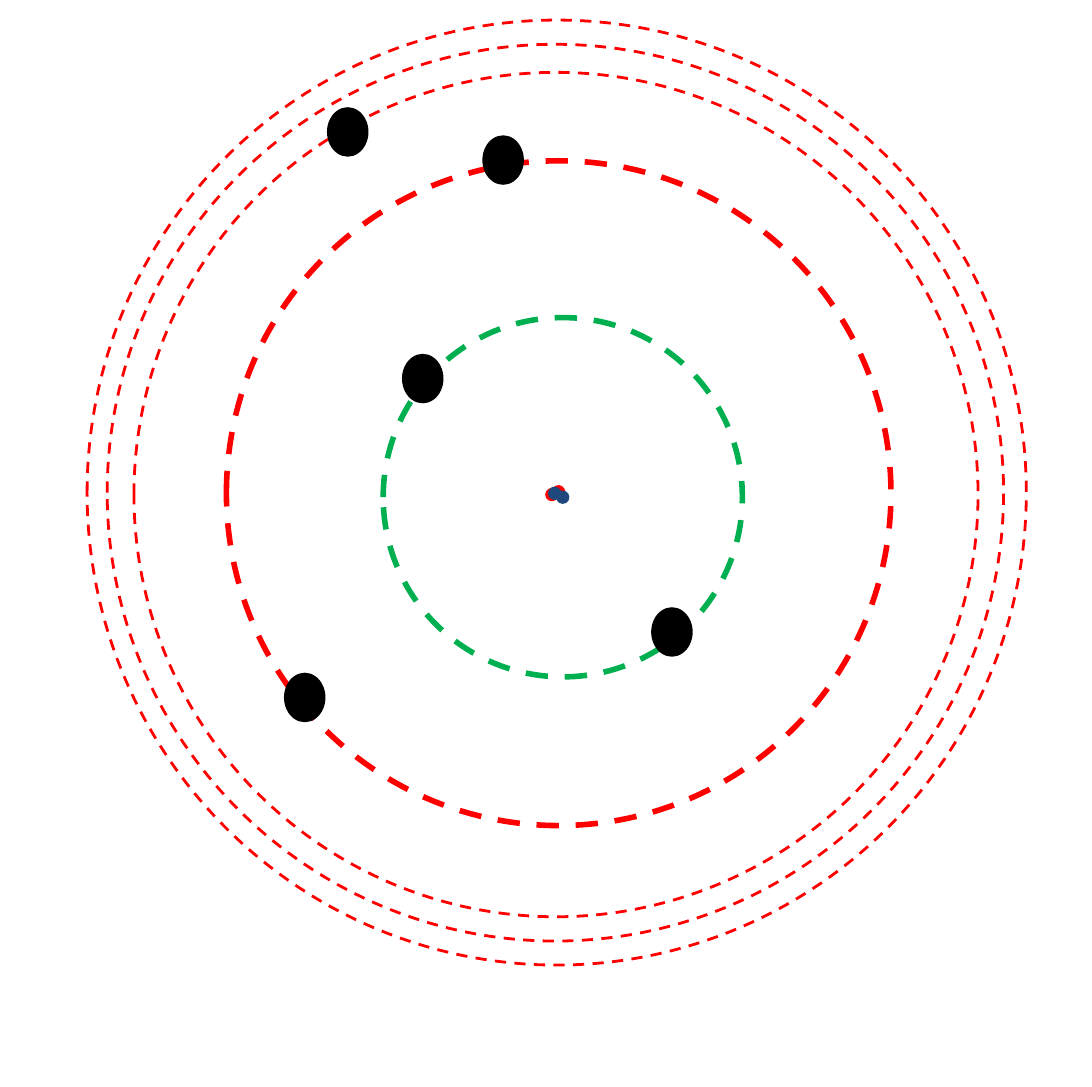
from pptx import Presentation
from pptx.dml.color import RGBColor
from pptx.enum.dml import MSO_LINE
from pptx.enum.shapes import MSO_SHAPE
from pptx.util import Pt

OVAL = MSO_SHAPE.OVAL
DASH = MSO_LINE.DASH

RED = RGBColor(0xFF, 0x00, 0x00)
NAVY = RGBColor(0x1F, 0x49, 0x7D)
GREEN = RGBColor(0x00, 0xB0, 0x50)
BLACK = RGBColor(0x00, 0x00, 0x00)

BLANK_LAYOUT = 6
NUCLEON_SIZE = 7.2
ELECTRON_WIDTH, ELECTRON_HEIGHT = 22.3, 26.6

# left, top, colour
NUCLEONS = [
    (293, 262.1, RED),
    (296.6, 260.6, RED),
    (298.8, 263.5, NAVY),
    (294.5, 261.4, NAVY),
]

# left, top, width, height, colour, line weight, electron positions
SHELLS = [
    (205.9, 170.6, 193, 193, GREEN, 3, [(216, 190.1), (349.9, 326.2)]),
    (121.7, 86.4, 357.1, 357.1, RED, 3, [(259.2, 72.7), (152.6, 361.4)]),
    (72, 38.9, 453.6, 453.6, RED, 1.5, []),
    (46.8, 10.8, 504.7, 507.6, RED, 1.5, []),
    (57.6, 23.8, 481.7, 481.7, RED, 1.5, [(175.7, 57.6)]),
]


def add_oval(slide, left, top, width, height):
    sp = slide.shapes.add_shape(OVAL, Pt(left), Pt(top), Pt(width), Pt(height))
    sp.shadow.inherit = False
    return sp


def add_particle(slide, left, top, width, height, color):
    """Add a filled oval without an outline."""
    sp = add_oval(slide, left, top, width, height)
    sp.fill.solid()
    sp.fill.fore_color.rgb = color
    sp.line.fill.background()


def add_orbit(slide, left, top, width, height, color, weight):
    """Add a dashed ring without a fill."""
    sp = add_oval(slide, left, top, width, height)
    sp.fill.background()
    sp.line.color.rgb = color
    sp.line.width = Pt(weight)
    sp.line.dash_style = DASH


def main():
    prs = Presentation()
    prs.slide_width = Pt(586.8)
    prs.slide_height = Pt(583.92)
    s = prs.slides.add_slide(prs.slide_layouts[BLANK_LAYOUT])

    for left, top, color in NUCLEONS:
        add_particle(s, left, top, NUCLEON_SIZE, NUCLEON_SIZE, color)

    for *orbit, electrons in SHELLS:
        add_orbit(s, *orbit)
        for left, top in electrons:
            add_particle(s, left, top, ELECTRON_WIDTH, ELECTRON_HEIGHT, BLACK)

    prs.save("out.pptx")


if __name__ == "__main__":
    main()
